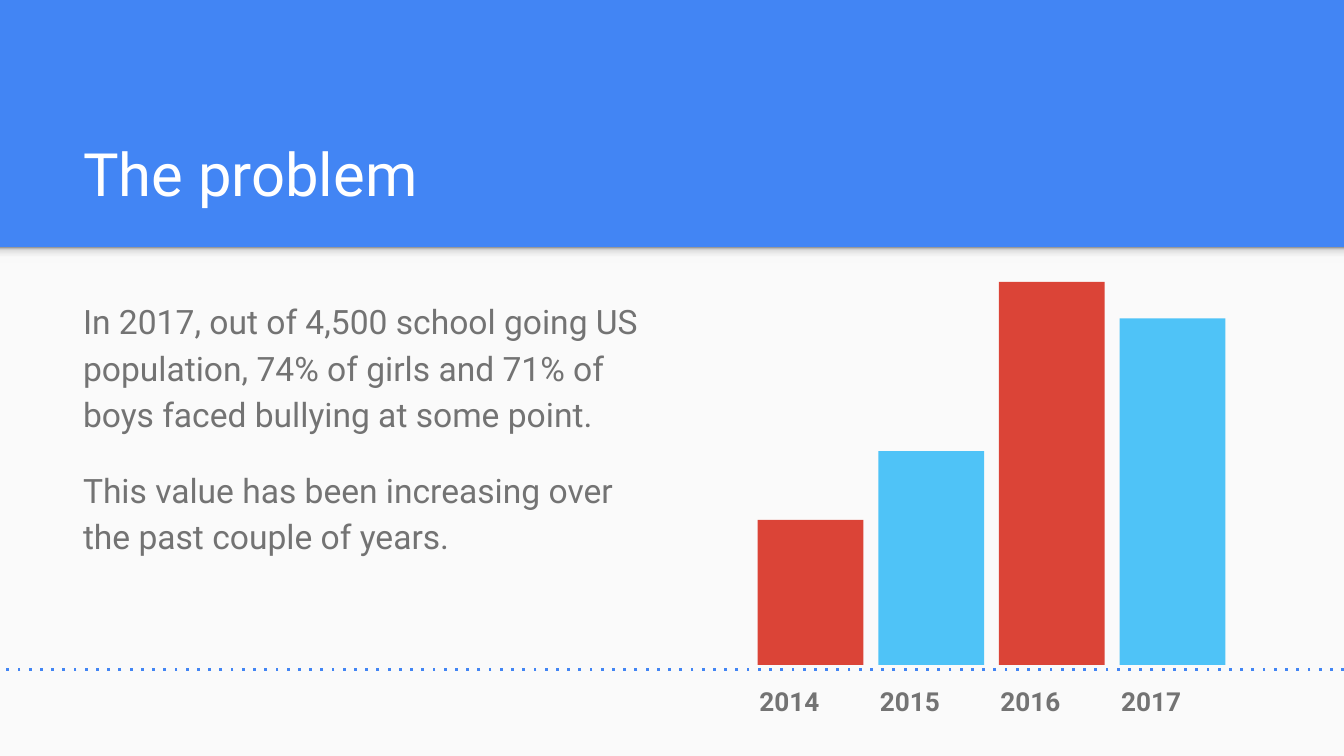
"""Build the bullying statistics slide with a bar figure and year labels."""
from dataclasses import dataclass

from lxml import etree
from pptx import Presentation
from pptx.dml.color import RGBColor
from pptx.enum.shapes import MSO_CONNECTOR, MSO_SHAPE
from pptx.enum.text import MSO_ANCHOR, MSO_AUTO_SIZE, PP_ALIGN
from pptx.oxml.ns import qn
from pptx.util import Cm, Pt

RECTANGLE = MSO_SHAPE.RECTANGLE
STRAIGHT = MSO_CONNECTOR.STRAIGHT
BOTTOM = MSO_ANCHOR.BOTTOM
TOP = MSO_ANCHOR.TOP
LEFT = PP_ALIGN.LEFT
NO_AUTOFIT = MSO_AUTO_SIZE.NONE
PLAIN_TABLE_STYLE = "{2D5ABB26-0587-4C30-8999-92F81FD0307C}"


@dataclass(frozen=True)
class Theme:
    font: str = "Roboto"
    blue: str = "4285F4"
    paper: str = "FAFAFA"
    white: str = "FFFFFF"
    grey: str = "737373"
    red: str = "DB4437"
    sky: str = "4FC3F7"
    shadow: tuple = ((0, "F9F9F9"), (36, "F9F9F9"), (80, "DEDEDE"), (100, "999999"))
    title_size: int = 32
    body_size: int = 18
    label_size: int = 14


theme = Theme()


def add_run(paragraph, text, size, color, bold=False):
    """Add one run in the slide font."""
    run = paragraph.add_run()
    run.text = text
    run.font.name = theme.font
    run.font.size = Pt(size)
    run.font.bold = bold
    run.font.color.rgb = RGBColor.from_string(color)


def add_rectangle(slide, left, top, width, height, color):
    """Add a flat rectangle measured in centimetres."""
    shape = slide.shapes.add_shape(RECTANGLE, Cm(left), Cm(top), Cm(width), Cm(height))
    shape.shadow.inherit = False
    shape.fill.solid()
    shape.fill.fore_color.rgb = RGBColor.from_string(color)
    shape.line.fill.background()
    return shape


presentation = Presentation()
presentation.slide_width = Cm(25.4)
presentation.slide_height = Cm(14.29)
slide = presentation.slides.add_slide(presentation.slide_layouts[5])
slide.background.fill.solid()
slide.background.fill.fore_color.rgb = RGBColor.from_string(theme.blue)

add_rectangle(slide, 0, 4.67, 25.4, 9.62, theme.paper)
header_shadow = add_rectangle(slide, 0, 4.67, 25.4, 0.3, theme.paper)
header_shadow.fill.gradient()
header_shadow.fill.gradient_angle = 90
stops = header_shadow._element.spPr.find(qn("a:gradFill")).find(qn("a:gsLst"))
stops.clear()
for position, color in theme.shadow:
    stop = etree.SubElement(stops, qn("a:gs"), pos=str(position * 1000))
    etree.SubElement(stop, qn("a:srgbClr"), val=color)

title = slide.shapes.title
title.left, title.top, title.width, title.height = Cm(1.32), Cm(2.06), Cm(22.83), Cm(2.13)
body = slide.shapes.add_textbox(Cm(1.32), Cm(5.33), Cm(11.1), Cm(7.52))
for shape, anchor in ((title, BOTTOM), (body, TOP)):
    frame = shape.text_frame
    frame.word_wrap = True
    frame.auto_size = NO_AUTOFIT
    frame.vertical_anchor = anchor
    frame.margin_left = frame.margin_right = Cm(0.25)
    frame.margin_top = frame.margin_bottom = Cm(0.25)

title_paragraph = title.text_frame.paragraphs[0]
title_paragraph.alignment = LEFT
add_run(title_paragraph, "The problem", theme.title_size, theme.white)

statements = (
    "In 2017, out of 4,500 school going US population, 74% of girls and 71% of boys "
    "faced bullying at some point.",
    "This value has been increasing over the past couple of years.",
)
for index, statement in enumerate(statements):
    paragraph = body.text_frame.add_paragraph() if index else body.text_frame.paragraphs[0]
    paragraph.line_spacing = 1.15
    paragraph.space_after = Pt(16)
    add_run(paragraph, statement, theme.body_size, theme.grey)

bars = (
    ("2014", 2.74, theme.red),
    ("2015", 4.04, theme.sky),
    ("2016", 7.24, theme.red),
    ("2017", 6.55, theme.sky),
)
pitch = 2.28
baseline = 12.57
axis_top = 12.65

table_frame = slide.shapes.add_table(
    1, len(bars), Cm(14.1), Cm(axis_top), Cm(pitch * len(bars)), Cm(1.19)
)
table = table_frame.table
table.first_row = False
table.horz_banding = False
table._tbl.tblPr.find(qn("a:tableStyleId")).text = PLAIN_TABLE_STYLE

for index, (year, height, color) in enumerate(bars):
    table.columns[index].width = Cm(pitch)
    cell = table.cell(0, index)
    cell.fill.background()
    cell.margin_left = cell.margin_right = Cm(0.25)
    cell.margin_top = cell.margin_bottom = Cm(0.25)
    paragraph = cell.text_frame.paragraphs[0]
    paragraph.line_spacing = 1.15
    add_run(paragraph, year, theme.label_size, theme.grey, bold=True)
    add_rectangle(slide, 14.32 + index * pitch, baseline - height, 2, height, color)

axis = slide.shapes.add_connector(STRAIGHT, Cm(25.4), Cm(axis_top), Cm(0), Cm(axis_top))
axis.line.color.rgb = RGBColor.from_string(theme.blue)
axis.line.width = Pt(1.5)
etree.SubElement(axis.line._get_or_add_ln(), qn("a:prstDash"), val="dot")
etree.SubElement(axis._element.spPr, qn("a:effectLst"))

presentation.save("out.pptx")
